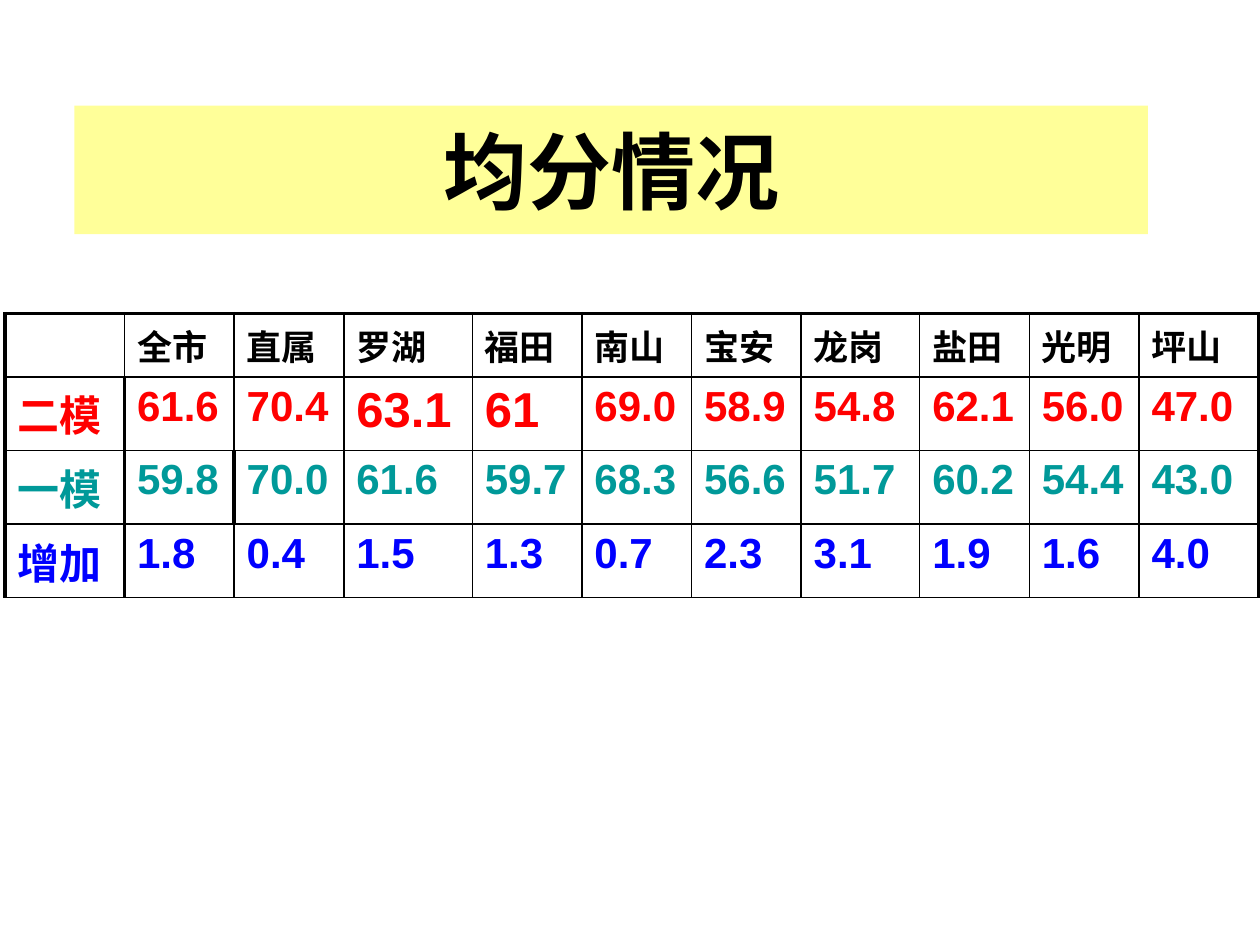
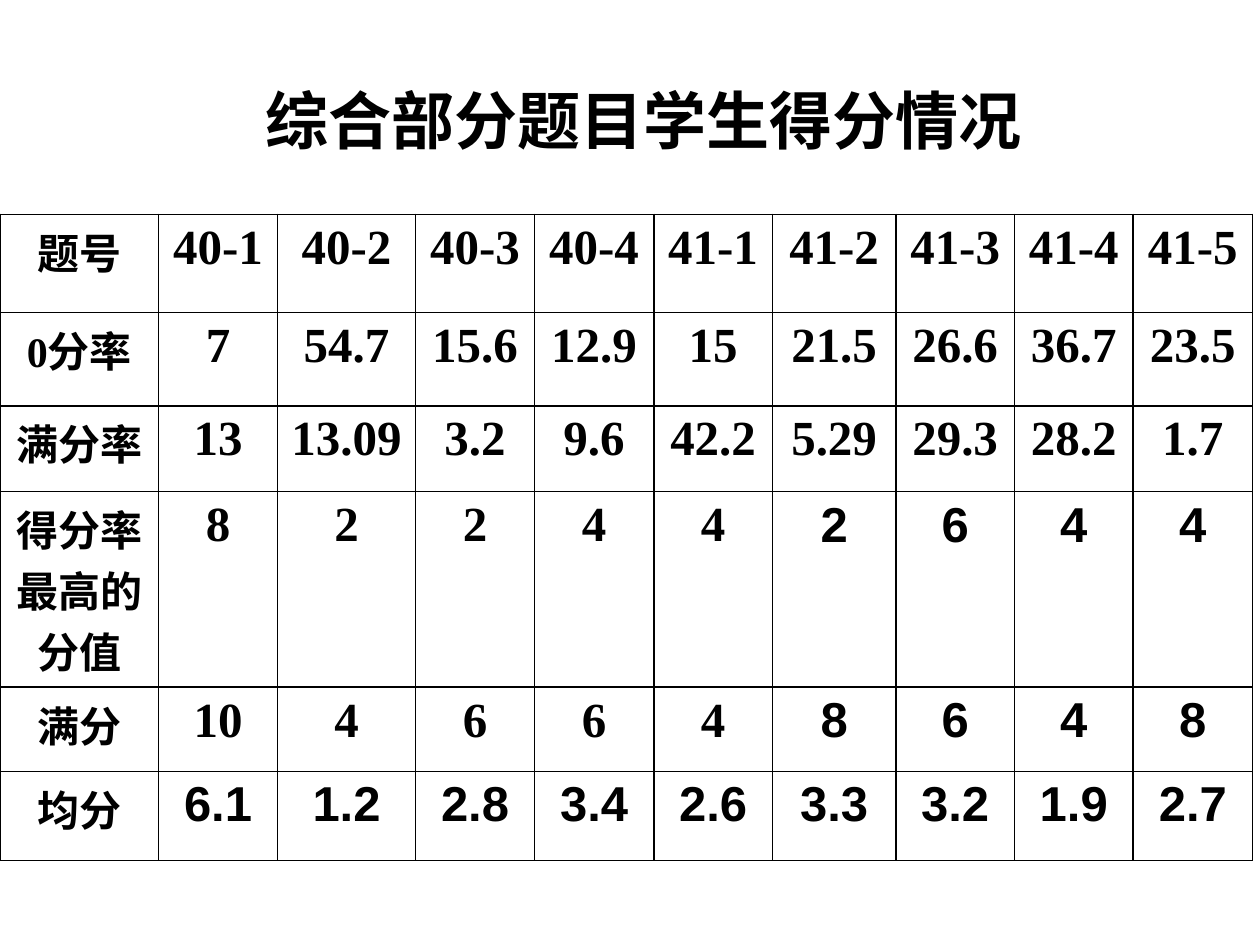
from lxml.etree import SubElement
from pptx import Presentation
from pptx.dml.color import RGBColor
from pptx.enum.shapes import MSO_SHAPE
from pptx.enum.text import MSO_ANCHOR, MSO_AUTO_SIZE, PP_ALIGN
from pptx.oxml.ns import qn
from pptx.util import Cm, Pt

COLORS = {"text": "000000", "band": "FFFF99", "second": "FF0000",
          "first": "009999", "gain": "0000FF"}
SANS, SERIF = "Arial", "Times New Roman"
THIN, THICK = 1, 2.25
HANGING = Cm(0.96)

MEAN_ROWS = [
    ["", "全市", "直属", "罗湖", "福田", "南山", "宝安", "龙岗", "盐田", "光明", "坪山"],
    ["二模", "61.6", "70.4", "63.1", "61", "69.0", "58.9", "54.8", "62.1", "56.0", "47.0"],
    ["一模", "59.8", "70.0", "61.6", "59.7", "68.3", "56.6", "51.7", "60.2", "54.4", "43.0"],
    ["增加", "1.8", "0.4", "1.5", "1.3", "0.7", "2.3", "3.1", "1.9", "1.6", "4.0"],
]
MEAN_WIDTHS = [2.41, 2.21, 2.21, 2.59, 2.21, 2.21, 2.21, 2.39, 2.21, 2.21, 2.41]
MEAN_HEIGHTS = [1.14, 1.42, 1.42, 1.42]
MEAN_COLORS = ["text", "second", "first", "gain"]

QUESTION_ROWS = [
    ["题号", "40-1", "40-2", "40-3", "40-4", "41-1", "41-2", "41-3", "41-4", "41-5"],
    ["0分率", "7", "54.7", "15.6", "12.9", "15", "21.5", "26.6", "36.7", "23.5"],
    ["满分率", "13", "13.09", "3.2", "9.6", "42.2", "5.29", "29.3", "28.2", "1.7"],
    ["得分率\n最高的\n分值", "8", "2", "2", "4", "4", "2", "6", "4", "4"],
    ["满分", "10", "4", "6", "6", "4", "8", "6", "4", "8"],
    ["均分", "6.1", "1.2", "2.8", "3.4", "2.6", "3.3", "3.2", "1.9", "2.7"],
]
QUESTION_WIDTHS = [3.2, 2.39, 2.79, 2.39, 2.41, 2.39, 2.49, 2.39, 2.39, 2.41]
QUESTION_HEIGHTS = [1.98, 1.88, 1.73, 3.2, 1.7, 1.8]


def write(tf, text, size, name=SANS, color="text", align=None, hanging=False):
    tf.text = text
    for p in tf.paragraphs:
        if align is not None:
            p.alignment = align
        if hanging:
            pPr = p._p.get_or_add_pPr()
            pPr.set("marL", str(HANGING))
            pPr.set("indent", str(-HANGING))
        for r in p.runs:
            for key, value in {"size": Pt(size), "name": name, "bold": True}.items():
                setattr(r.font, key, value)
            r.font.color.rgb = RGBColor.from_string(COLORS[color])


def set_borders(cell, widths):
    tcPr = cell._tc.get_or_add_tcPr()
    for side in "LRTB":
        ln = SubElement(tcPr, qn(f"a:ln{side}"), w=str(Pt(widths.get(side, THIN))))
        fill = SubElement(ln, qn("a:solidFill"))
        SubElement(fill, qn("a:srgbClr"), val=COLORS["text"])


def add_grid(s, left, top, rows, widths, heights, text_format, borders):
    shape = s.shapes.add_table(len(rows), len(widths), Cm(left), Cm(top),
                               Cm(sum(widths)), Cm(sum(heights)))
    table = shape.table
    table.first_row = table.horz_banding = False
    for column, width in zip(table.columns, widths):
        column.width = Cm(width)
    for row, height in zip(table.rows, heights):
        row.height = Cm(height)
    for i, row in enumerate(rows):
        for j, text in enumerate(row):
            cell = table.cell(i, j)
            write(cell.text_frame, text, **text_format(i, j))
            set_borders(cell, borders(i, j))
            cell.fill.background()


def mean_format(i, j):
    if i == 0:
        size = 20
    else:
        size = 28 if i == 1 and j in (3, 4) else 24
    return {"size": size, "color": MEAN_COLORS[i]}


def mean_borders(i, j):
    thick = {
        "L": j == 0 or (i > 0 and j == 1) or (i, j) == (2, 2),
        "R": j == 10 or (i > 0 and j == 0) or (i, j) == (2, 1),
        "T": i == 0,
    }
    return {side: THICK for side, on in thick.items() if on}


def question_format(i, j):
    sans = j > 0 and (i == 5 or (i >= 3 and j >= 6))
    return {"size": 28 if j else 24, "name": SANS if sans else SERIF,
            "align": PP_ALIGN.CENTER, "hanging": True}


def plain_borders(i, j):
    return {}


def add_band_title(s, text):
    sp = s.shapes.add_shape(MSO_SHAPE.RECTANGLE, Cm(1.5), Cm(2.13), Cm(21.64), Cm(2.59))
    sp.shadow.inherit = False
    sp.fill.solid()
    sp.fill.fore_color.rgb = RGBColor.from_string(COLORS["band"])
    sp.line.fill.background()
    tf = sp.text_frame
    for key, value in {"word_wrap": True, "vertical_anchor": MSO_ANCHOR.MIDDLE}.items():
        setattr(tf, key, value)
    write(tf, text, 48, align=PP_ALIGN.CENTER)


def add_plain_title(s, text):
    tf = s.shapes.add_textbox(Cm(5.11), Cm(1.52), Cm(15.8), Cm(1.78)).text_frame
    for key, value in {"word_wrap": False,
                       "auto_size": MSO_AUTO_SIZE.SHAPE_TO_FIT_TEXT}.items():
        setattr(tf, key, value)
    write(tf, text, 36)


def main():
    prs = Presentation()
    prs.slide_width, prs.slide_height = Cm(25.4), Cm(19.05)
    blank = prs.slide_layouts[6]

    s = prs.slides.add_slide(blank)
    add_band_title(s, "均分情况")
    add_grid(s, 0.1, 6.32, MEAN_ROWS, MEAN_WIDTHS, MEAN_HEIGHTS,
             mean_format, mean_borders)

    s = prs.slides.add_slide(blank)
    add_grid(s, 0, 4.32, QUESTION_ROWS, QUESTION_WIDTHS, QUESTION_HEIGHTS,
             question_format, plain_borders)
    add_plain_title(s, "综合部分题目学生得分情况")

    prs.save("out.pptx")


if __name__ == "__main__":
    main()
